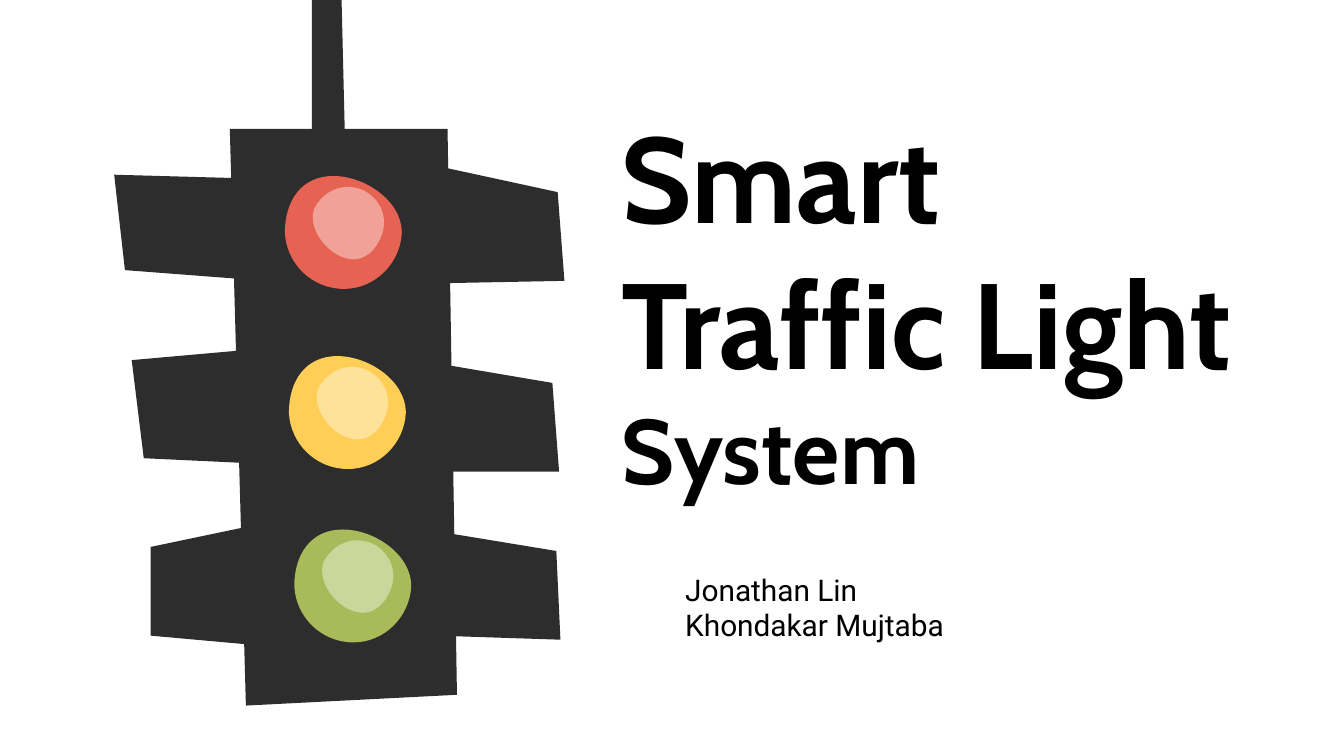
"""Build the title slide of a smart traffic light deck."""
from lxml import etree
from pptx import Presentation
from pptx.dml.color import RGBColor
from pptx.enum.text import MSO_ANCHOR
from pptx.oxml.ns import qn
from pptx.util import Inches, Pt

TOP = MSO_ANCHOR.TOP
COLORS = {
    "text": "000000",
    "housing": "2D2D2D",
    "red": "E66353",
    "red glare": "F0A198",
    "yellow": "FFCE56",
    "yellow glare": "FFE29A",
    "green": "A9BA5A",
    "green glare": "CBD69C",
}
HOUSING_PARTS = [
    [(1.71, 0.96), (1.83, 5.25), (3.4, 5.17), (3.33, 0.96)],
    [(0.85, 1.3), (0.93, 2.01), (1.98, 2.09), (1.93, 1.33)],
    [(1.88, 2.6), (0.98, 2.68), (1.07, 3.41), (2.13, 3.46)],
    [(1.93, 3.9), (1.12, 4.07), (1.12, 4.73), (2.01, 4.81)],
    [(3.23, 3.95), (3.25, 4.73), (4.17, 4.76), (4.14, 4.1)],
    [(3.11, 2.68), (3.13, 3.51), (4.16, 3.51), (4.11, 2.85)],
    [(3.23, 1.23), (3.16, 2.11), (4.2, 2.09), (4.15, 1.43)],
    [(2.32, -0.07), (2.32, 1.18), (2.57, 1.18), (2.54, -0.07)],
]
LENS = [
    (2.48, 1.31),
    (2.24, 1.31), (2.12, 1.5), (2.12, 1.73),
    (2.13, 1.96), (2.32, 2.15), (2.56, 2.15),
    (2.79, 2.15), (2.98, 1.96), (2.99, 1.73),
    (2.99, 1.5), (2.72, 1.31), (2.48, 1.31),
]
GLARE = [
    (2.59, 1.39),
    (2.49, 1.39), (2.39, 1.45), (2.34, 1.55),
    (2.29, 1.68), (2.4, 1.85), (2.54, 1.91),
    (2.57, 1.92), (2.6, 1.93), (2.63, 1.93),
    (2.72, 1.93), (2.8, 1.86), (2.84, 1.75),
    (2.89, 1.62), (2.83, 1.47), (2.69, 1.41),
    (2.66, 1.4), (2.62, 1.39), (2.59, 1.39),
]
LAMP_OFFSETS = {"red": (0, 0), "yellow": (0.03, 1.34), "green": (0.07, 2.63)}


def add_outline(shapes, points, color, curved=False):
    corners = [(Inches(x), Inches(y)) for x, y in points]
    builder = shapes.build_freeform(*corners[0])
    builder.add_line_segments(corners[1:], close=True)
    shape = builder.convert_to_shape()
    shape.shadow.inherit = False
    shape.fill.solid()
    shape.fill.fore_color.rgb = RGBColor.from_string(COLORS[color])
    shape.line.fill.background()
    if curved:
        outline = shape.element.find(".//" + qn("a:path"))
        segments = outline.findall(qn("a:lnTo"))
        for first in range(0, len(segments), 3):
            curve = etree.Element(qn("a:cubicBezTo"))
            segments[first].addprevious(curve)
            for segment in segments[first:first + 3]:
                curve.append(segment[0])
                outline.remove(segment)


def add_text(slide, box, lines, font_name, bold):
    frame = slide.shapes.add_textbox(*map(Inches, box)).text_frame
    margins = dict.fromkeys(
        ["margin_left", "margin_top", "margin_right", "margin_bottom"], Inches(0.1))
    for name, value in {**margins, "word_wrap": True, "vertical_anchor": TOP}.items():
        setattr(frame, name, value)
    for index, (text, size) in enumerate(lines):
        paragraph = frame.add_paragraph() if index else frame.paragraphs[0]
        run = paragraph.add_run()
        run.text = text
        for name, value in {"name": font_name, "size": Pt(size), "bold": bold}.items():
            setattr(run.font, name, value)
        run.font.color.rgb = RGBColor.from_string(COLORS["text"])


presentation = Presentation()
presentation.slide_width = Inches(10)
presentation.slide_height = Inches(10) * 9 // 16
slide = presentation.slides.add_slide(presentation.slide_layouts[6])

add_text(slide, (4.53, 0.66, 5.37, 3.56),
         [("Smart", 65), ("Traffic Light", 65), ("System", 49)], "Cabin", True)
add_text(slide, (5, 4.15, 2.85, 0.65),
         [("Jonathan Lin", 16), ("Khondakar Mujtaba", 16)], "Roboto", False)

traffic_light = slide.shapes.add_group_shape().shapes
for part in HOUSING_PARTS:
    add_outline(traffic_light, part, "housing")
for lamp, (dx, dy) in LAMP_OFFSETS.items():
    for points, color in [(LENS, lamp), (GLARE, lamp + " glare")]:
        moved = [(x + dx, y + dy) for x, y in points]
        add_outline(traffic_light, moved, color, curved=True)

presentation.save("out.pptx")
